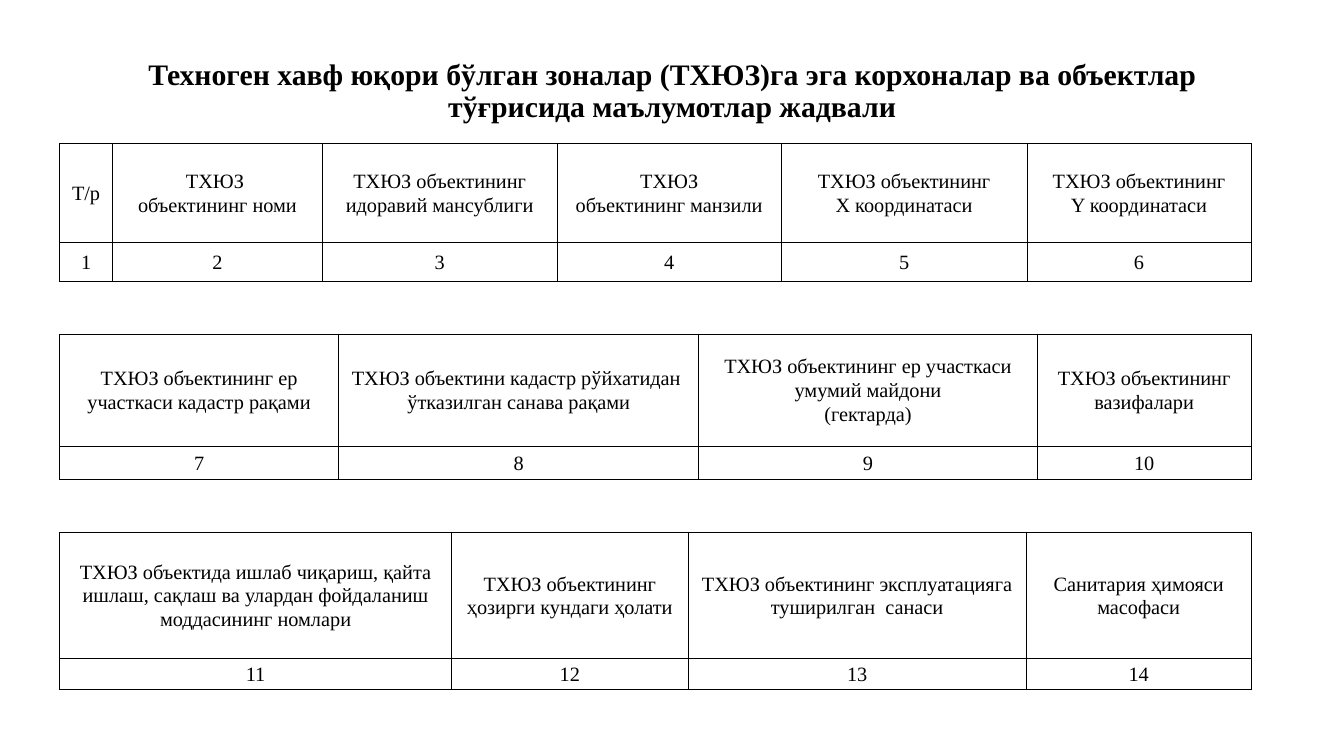
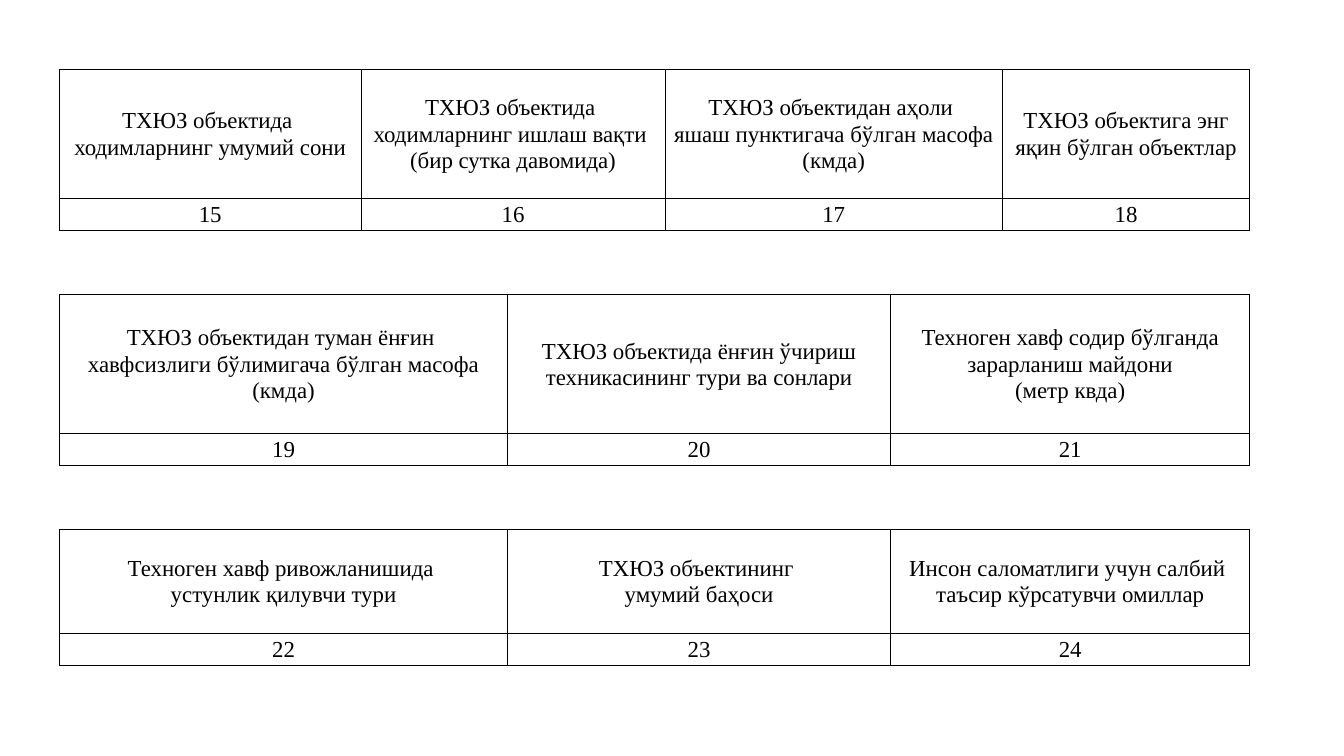
import dataclasses

import lxml.etree
import pptx
import pptx.dml.color
import pptx.enum.text
import pptx.oxml.ns
import pptx.util

Pt = pptx.util.Pt


@dataclasses.dataclass(frozen=True)
class Theme:
    font: str = "Times New Roman"
    ink: str = "000000"
    title_size: float = 23.4
    title_spacing: float = 0.9
    cell_spacing: float = 1.05
    cell_margin: float = 5
    border_width: float = 0.75


@dataclasses.dataclass(frozen=True)
class Band:
    """A two-row table: headings above their running numbers."""
    top: float
    row_heights: tuple
    column_widths: tuple
    headings: tuple


THEME = Theme()
SLIDE_SIZE = (1058.4, 595.44)
TABLE_LEFT = 46.8
TITLE_BOX = (72.7, 41.8, 913, 61.2)
TITLE = ("Техноген хавф юқори бўлган зоналар (ТХЮЗ)га эга корхоналар "
         "ва объектлар тўғрисида маълумотлар жадвали")

OBJECT_BANDS = (
    Band(113, (78, 31), (42, 165, 185, 176.5, 193.5, 176.5), (
        "Т/р",
        "ТХЮЗ \nобъектининг номи",
        "ТХЮЗ объектининг идоравий мансублиги",
        "ТХЮЗ\nобъектининг манзили",
        "ТХЮЗ объектининг\nХ координатаси",
        "ТХЮЗ объектининг\nY координатаси",
    )),
    Band(263, (88.5, 26), (220, 283.5, 266.5, 168.5), (
        "ТХЮЗ объектининг ер участкаси кадастр рақами",
        "ТХЮЗ объектини кадастр рўйхатидан \nўтказилган санава рақами",
        "ТХЮЗ объектининг ер участкаси\nумумий майдони\n(гектарда)",
        "ТХЮЗ объектининг вазифалари",
    )),
    Band(419, (100, 24), (309, 186, 266.5, 177), (
        "ТХЮЗ объектида ишлаб чиқариш, қайта ишлаш, сақлаш ва улардан "
        "фойдаланиш\vмоддасининг номлари",
        "ТХЮЗ объектининг ҳозирги кундаги ҳолати",
        "ТХЮЗ объектининг эксплуатацияга туширилган  санаси",
        "Санитария ҳимояси масофаси",
    )),
)

WIDE_COLUMNS = (353, 301.5, 283)
RISK_BANDS = (
    Band(54.7, (101.5, 25.2), (237.5, 239.5, 265.5, 195), (
        "ТХЮЗ объектида \nходимларнинг умумий сони",
        "ТХЮЗ объектида \nходимларнинг ишлаш вақти \n(бир сутка давомида)",
        "ТХЮЗ объектидан аҳоли \nяшаш пунктигача бўлган масофа (кмда)",
        "ТХЮЗ объектига энг яқин бўлган объектлар",
    )),
    Band(232, (109.5, 25.2), WIDE_COLUMNS, (
        "ТХЮЗ объектидан туман ёнғин \nхавфсизлиги бўлимигача бўлган масофа\n(кмда)",
        "ТХЮЗ объектида ёнғин ўчириш техникасининг тури ва сонлари",
        "Техноген хавф содир бўлганда зарарланиш майдони\n(метр квда)",
    )),
    Band(417, (81.5, 25.5), WIDE_COLUMNS, (
        "Техноген хавф ривожланишида \nустунлик қилувчи тури",
        "ТХЮЗ объектининг \nумумий баҳоси",
        "Инсон саломатлиги учун салбий \nтаъсир кўрсатувчи омиллар",
    )),
)


def write_text(text_frame, text, size, spacing, bold=False):
    text_frame.text = text
    for paragraph in text_frame.paragraphs:
        paragraph.alignment = pptx.enum.text.PP_ALIGN.CENTER
        paragraph.line_spacing = spacing
        for run in paragraph.runs:
            run.font.name = THEME.font
            run.font.size = Pt(size)
            run.font.bold = bold
            run.font.color.rgb = pptx.dml.color.RGBColor.from_string(THEME.ink)


def add_title(slide, box, text):
    shape = slide.shapes.add_textbox(*map(Pt, box))
    shape.text_frame.word_wrap = True
    shape.text_frame.vertical_anchor = pptx.enum.text.MSO_ANCHOR.MIDDLE
    write_text(shape.text_frame, text, THEME.title_size, THEME.title_spacing, bold=True)


def outline_cell(cell):
    properties = cell._tc.get_or_add_tcPr()
    qn = pptx.oxml.ns.qn
    for edge in ("a:lnL", "a:lnR", "a:lnT", "a:lnB"):
        line = lxml.etree.SubElement(properties, qn(edge), w=str(Pt(THEME.border_width)))
        fill = lxml.etree.SubElement(line, qn("a:solidFill"))
        lxml.etree.SubElement(fill, qn("a:srgbClr"), val=THEME.ink)


def add_band(slide, left, band, first_number, text_size):
    numbers = [str(first_number + index) for index in range(len(band.headings))]
    rows = (band.headings, numbers)
    table = slide.shapes.add_table(
        len(rows), len(numbers), Pt(left), Pt(band.top),
        Pt(sum(band.column_widths)), Pt(sum(band.row_heights))).table
    table.first_row = table.horz_banding = False
    for column, width in zip(table.columns, band.column_widths):
        column.width = Pt(width)
    for row, height, texts in zip(table.rows, band.row_heights, rows):
        row.height = Pt(height)
        for cell, text in zip(row.cells, texts):
            cell.margin_left = cell.margin_right = Pt(THEME.cell_margin)
            cell.margin_top = cell.margin_bottom = 0
            cell.vertical_anchor = pptx.enum.text.MSO_ANCHOR.MIDDLE
            outline_cell(cell)
            cell.fill.background()
            write_text(cell.text_frame, text, text_size, THEME.cell_spacing)


def add_table_slide(presentation, bands, first_number, text_size, title=None):
    """Add a slide of stacked bands and return the next free number."""
    slide = presentation.slides.add_slide(presentation.slide_layouts[6])
    if title:
        add_title(slide, TITLE_BOX, title)
    for band in bands:
        add_band(slide, TABLE_LEFT, band, first_number, text_size)
        first_number += len(band.headings)
    return first_number


def main():
    presentation = pptx.Presentation()
    presentation.slide_width, presentation.slide_height = map(Pt, SLIDE_SIZE)
    next_number = add_table_slide(presentation, OBJECT_BANDS, 1, 16, TITLE)
    add_table_slide(presentation, RISK_BANDS, next_number, 18)
    presentation.save("out.pptx")


if __name__ == "__main__":
    main()
